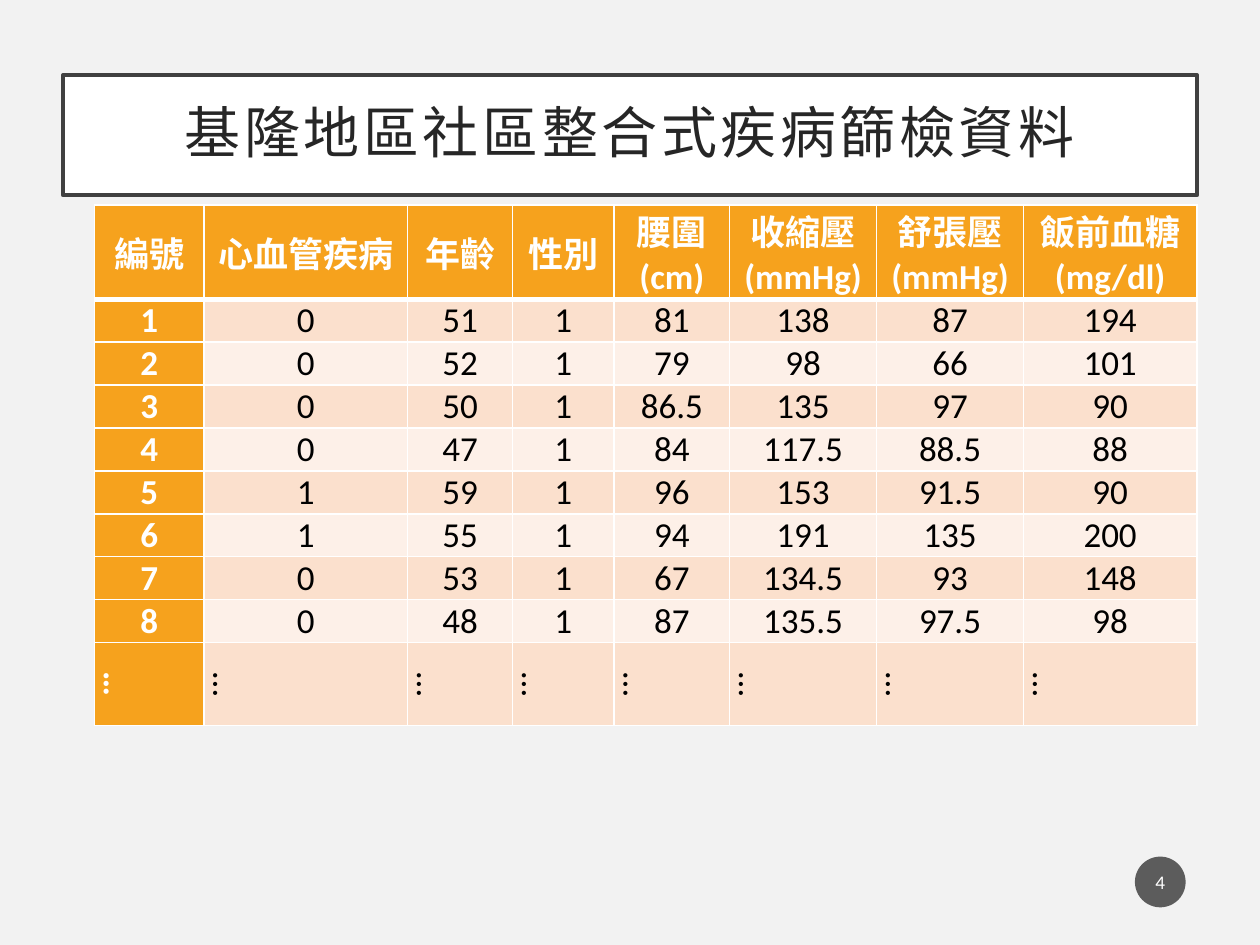
from dataclasses import dataclass

from lxml.etree import SubElement
from pptx import Presentation
from pptx.dml.color import RGBColor
from pptx.enum.shapes import MSO_SHAPE
from pptx.enum.text import MSO_ANCHOR, MSO_AUTO_SIZE, PP_ALIGN
from pptx.oxml.ns import qn
from pptx.util import Pt


@dataclass(frozen=True)
class Theme:
    font: str = "Calibri"
    background: str = "F2F2F2"
    white: str = "FFFFFF"
    black: str = "000000"
    title: str = "262626"
    frame: str = "404040"
    accent: str = "F6A21D"
    bands: tuple = ("FBE0CD", "FDF0E8")
    badge: str = "1D1D1D"
    title_size: int = 32
    table_size: int = 20
    number_size: int = 11


THEME = Theme()
TITLE = "基隆地區社區整合式疾病篩檢資料"
HEADERS = ["編號", "心血管疾病", "年齡", "性別", "腰圍\n(cm)",
           "收縮壓\n(mmHg)", "舒張壓\n(mmHg)", "飯前血糖\n(mg/dl)"]
RECORDS = [
    [1, 0, 51, 1, 81, 138, 87, 194],
    [2, 0, 52, 1, 79, 98, 66, 101],
    [3, 0, 50, 1, 86.5, 135, 97, 90],
    [4, 0, 47, 1, 84, 117.5, 88.5, 88],
    [5, 1, 59, 1, 96, 153, 91.5, 90],
    [6, 1, 55, 1, 94, 191, 135, 200],
    [7, 0, 53, 1, 67, 134.5, 93, 148],
    [8, 0, 48, 1, 87, 135.5, 97.5, 98],
]
MORE = "…"
COLUMN_WIDTHS = [62.5, 116.5, 60, 58, 66, 84, 84, 99]
HEADER_HEIGHT, RECORD_HEIGHT, MORE_HEIGHT = 54, 18, 47.5


def rgb(color):
    return RGBColor.from_string(color)


def format_text(tf, size, color, bold=False):
    for p in tf.paragraphs:
        p.alignment = PP_ALIGN.CENTER
        p.font.name = THEME.font
        p.font.size = Pt(size)
        p.font.bold = bold
        p.font.color.rgb = rgb(color)


def set_margins(target, horizontal, vertical):
    target.margin_left = target.margin_right = Pt(horizontal)
    target.margin_top = target.margin_bottom = Pt(vertical)


def set_borders(cell, **widths):
    tcPr = cell._tc.get_or_add_tcPr()
    for side in "LRTB":
        width = Pt(widths.get(side, 1))
        line = SubElement(tcPr, qn(f"a:ln{side}"), w=str(width))
        fill = SubElement(line, qn("a:solidFill"))
        SubElement(fill, qn("a:srgbClr"), val=THEME.white)


def add_title(s):
    title = s.shapes.title
    title.left, title.top, title.width, title.height = Pt(36), Pt(43), Pt(648), Pt(68.5)
    title.fill.solid()
    title.fill.fore_color.rgb = rgb(THEME.white)
    title.line.color.rgb = rgb(THEME.frame)
    title.line.width = Pt(2.5)
    tf = title.text_frame
    tf.text = TITLE
    tf.auto_size = MSO_AUTO_SIZE.NONE
    tf.vertical_anchor = MSO_ANCHOR.MIDDLE
    set_margins(tf, 14.4, 14.4)
    format_text(tf, THEME.title_size, THEME.title)
    p = tf.paragraphs[0]
    p.line_spacing = 0.9
    p.runs[0]._r.get_or_add_rPr().set("spc", "200")


def fill_cell(cell, text, fill, color, bold):
    cell.fill.solid()
    cell.fill.fore_color.rgb = rgb(fill)
    cell.vertical_anchor = MSO_ANCHOR.MIDDLE
    set_margins(cell, 0.7, 0)
    cell.text_frame.text = text
    format_text(cell.text_frame, THEME.table_size, color, bold)
    if text == MORE:
        cell._tc.get_or_add_tcPr().set("vert", "vert")


def add_data_table(s):
    rows = [HEADERS, *RECORDS, [MORE] * len(HEADERS)]
    heights = [HEADER_HEIGHT, *[RECORD_HEIGHT] * len(RECORDS), MORE_HEIGHT]
    frame = s.shapes.add_table(len(rows), len(HEADERS), Pt(54), Pt(117),
                               Pt(sum(COLUMN_WIDTHS)), Pt(sum(heights)))
    table = frame.table
    table.first_row = table.horz_banding = False
    for column, width in zip(table.columns, COLUMN_WIDTHS):
        column.width = Pt(width)
    for i, (values, height) in enumerate(zip(rows, heights)):
        table.rows[i].height = Pt(height)
        # A thick rule parts the header from the records
        edges = {0: {"B": 3}, 1: {"T": 3}}.get(i, {})
        for j, value in enumerate(values):
            heading = i == 0 or j == 0
            fill = THEME.accent if heading else THEME.bands[(i - 1) % 2]
            color = THEME.white if heading else THEME.black
            cell = table.cell(i, j)
            set_borders(cell, **edges)
            fill_cell(cell, str(value), fill, color, heading)


def add_page_badge(s, number):
    badge = s.shapes.add_shape(MSO_SHAPE.OVAL, Pt(648.5), Pt(489.5), Pt(29), Pt(29))
    badge.shadow.inherit = False
    badge.line.fill.background()
    badge.fill.solid()
    badge.fill.fore_color.rgb = rgb(THEME.badge)
    color = badge._element.spPr.find(qn("a:solidFill"))[0]
    SubElement(color, qn("a:alpha"), val="70000")
    tf = badge.text_frame
    tf.text = number
    tf.vertical_anchor = MSO_ANCHOR.MIDDLE
    set_margins(tf, 1.4, 3.6)
    format_text(tf, THEME.number_size, THEME.white)


def main():
    prs = Presentation()
    prs.slide_width, prs.slide_height = Pt(720), Pt(540)
    s = prs.slides.add_slide(prs.slide_layouts[5])
    s.background.fill.solid()
    s.background.fill.fore_color.rgb = rgb(THEME.background)

    # Heading, screening records, page number
    add_title(s)
    add_data_table(s)
    add_page_badge(s, "4")
    prs.save("out.pptx")


if __name__ == "__main__":
    main()
